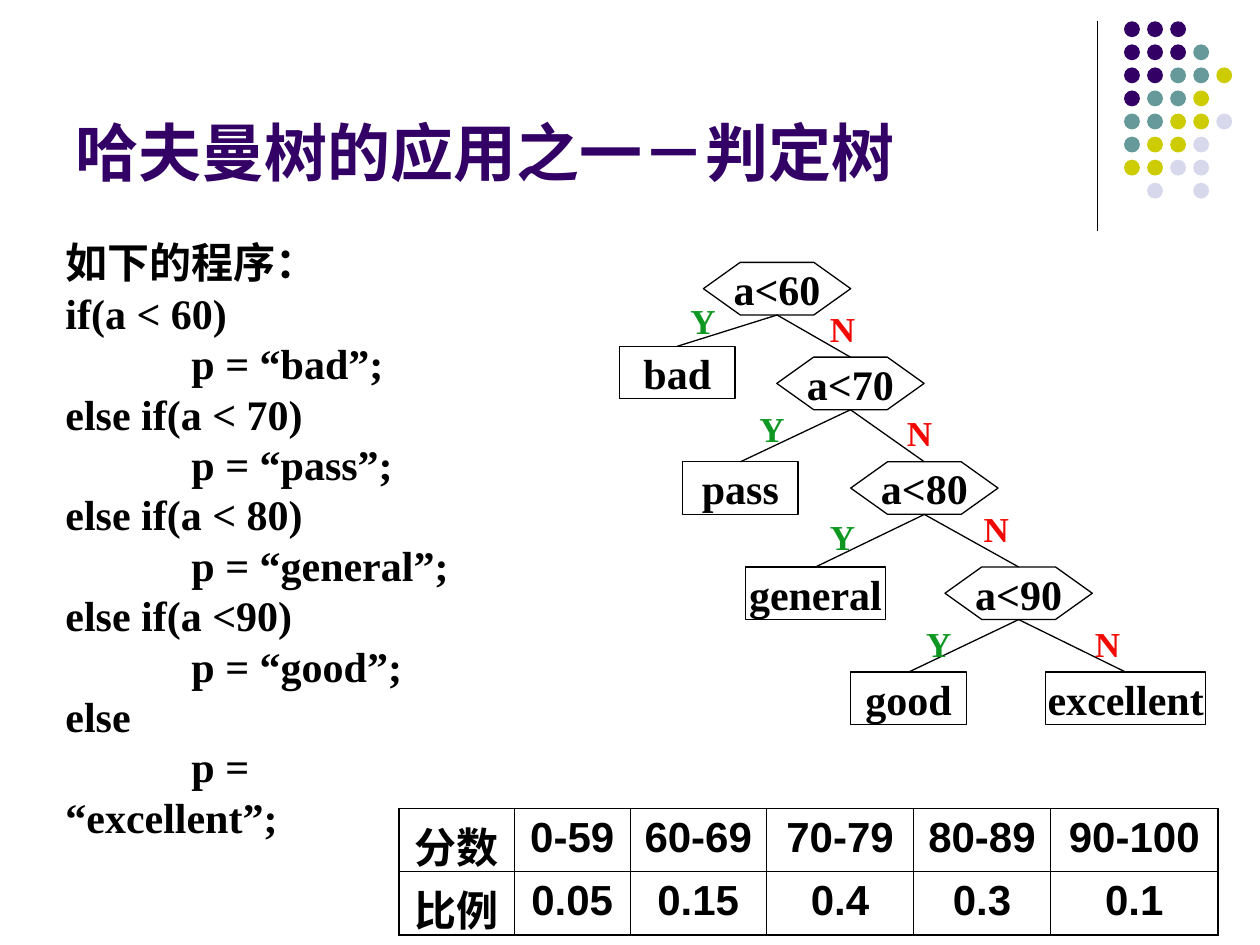
from dataclasses import dataclass

from lxml.etree import SubElement
from pptx import Presentation
from pptx.dml.color import RGBColor
from pptx.enum.shapes import MSO_CONNECTOR, MSO_SHAPE
from pptx.enum.text import MSO_ANCHOR as Anchor, MSO_AUTO_SIZE, PP_ALIGN as Align
from pptx.oxml import parse_xml
from pptx.oxml.ns import nsdecls, qn
from pptx.util import Cm, Pt

BLACK = RGBColor(0x00, 0x00, 0x00)
PURPLE = RGBColor(0x33, 0x00, 0x66)
TEAL = RGBColor(0x66, 0x99, 0x99)
OLIVE = RGBColor(0xCC, 0xCC, 0x00)
LILAC = RGBColor(0xD8, 0xD8, 0xEC)
GREEN = RGBColor(0x0E, 0x98, 0x22)
RED = RGBColor(0xF2, 0x08, 0x02)
SERIF, SANS, CHINESE = "Times New Roman", "Arial", "Noto Sans CJK SC"
NODE_HEIGHT = 1.06
TEST_WIDTH = 2.97


@dataclass
class Leaf:
    text: str
    left: float
    top: float
    width: float = 2.33


@dataclass
class Test:
    text: str
    left: float
    top: float
    leaf: Leaf
    yes_at: tuple[float, float]
    no_at: tuple[float, float]

    @property
    def middle(self) -> float:
        return self.left + TEST_WIDTH / 2


TESTS = [
    Test("a<60", 14.18, 5.29, Leaf("bad", 12.49, 6.98), (13.67, 5.92), (16.48, 6.07)),
    Test("a<70", 15.66, 7.2, Leaf("pass", 13.76, 9.31), (15.06, 8.1), (18.03, 8.18)),
    Test("a<80", 17.15, 9.31, Leaf("general", 15.03, 11.43, 2.82), (16.48, 10.26), (19.58, 10.11)),
    Test("a<90", 19.05, 11.43, Leaf("good", 17.15, 13.55), (18.42, 12.42), (21.82, 12.42)),
]
LAST_LEAF = Leaf("excellent", 21.08, 13.55, 3.23)

CODE = [
    "如下的程序：",
    "if(a < 60)", "\tp = “bad”;",
    "else if(a < 70)", "\tp = “pass”;",
    "else if(a < 80)", "\tp = “general”;",
    "else if(a <90)", "\tp = “good”;",
    "else", "\tp = “excellent”;",
]

SCORES = [
    ["分数", "0-59", "60-69", "70-79", "80-89", "90-100"],
    ["比例", "0.05", "0.15", "0.4", "0.3", "0.1"],
]
SCORE_WIDTHS = [2.33, 2.33, 2.75, 2.97, 2.75, 3.39]

DOT_COLORS = {"P": PURPLE, "T": TEAL, "O": OLIVE, "L": LILAC}
DOT_ROWS = ["PPP", "PPPT", "PPTTO", "PTTO", "TTOOL", "TOOL", "OOLL", " L L"]


def style(paragraph, size: int, font: str, color: RGBColor = BLACK, align=Align.LEFT) -> None:
    paragraph.alignment = align
    face = paragraph.font
    face.size, face.bold, face.name = Pt(size), True, font
    face.color.rgb = color
    east_asian = SubElement(face._element, qn("a:ea"))
    east_asian.set("typeface", CHINESE)


def draw_line(slide, start: tuple[float, float], end: tuple[float, float], leaf=None) -> None:
    line = slide.shapes.add_connector(
        MSO_CONNECTOR.STRAIGHT, *(Cm(v) for v in start + end))
    line.line.color.rgb = BLACK
    line.line.width = Pt(0.75)
    SubElement(line._element.spPr, qn("a:effectLst"))
    if leaf is not None:
        line.end_connect(leaf, 0)


def draw_node(slide, kind, text: str, left: float, top: float, width: float):
    node = slide.shapes.add_shape(kind, Cm(left), Cm(top), Cm(width), Cm(NODE_HEIGHT))
    node.shadow.inherit = False
    node.fill.background()
    node.line.color.rgb = BLACK
    node.line.width = Pt(0.75)
    frame = node.text_frame
    frame.word_wrap = False
    frame.vertical_anchor = Anchor.MIDDLE
    frame.text = text
    style(frame.paragraphs[0], 24, SERIF, align=Align.CENTER)
    return node


def draw_leaf(slide, leaf: Leaf):
    return draw_node(slide, MSO_SHAPE.RECTANGLE, leaf.text, leaf.left, leaf.top, leaf.width)


def draw_answer(slide, text: str, at: tuple[float, float], width: float, color: RGBColor) -> None:
    answer = slide.shapes.add_textbox(Cm(at[0]), Cm(at[1]), Cm(width), Cm(1.12))
    answer.text_frame.word_wrap = True
    answer.text_frame.text = text
    style(answer.text_frame.paragraphs[0], 20, SERIF, color)


def draw_dots(slide) -> None:
    pitch = 1.86 / 4
    for row, letters in enumerate(DOT_ROWS):
        for column, letter in enumerate(letters):
            if letter == " ":
                continue
            dot = slide.shapes.add_shape(
                MSO_SHAPE.OVAL, Cm(22.66 + column * pitch), Cm(0.43 + row * pitch),
                Cm(0.32), Cm(0.32))
            dot.shadow.inherit = False
            dot.fill.solid()
            dot.fill.fore_color.rgb = DOT_COLORS[letter]
            dot.line.fill.background()


def draw_code(slide) -> None:
    code = slide.shapes.add_textbox(Cm(1.07), Cm(4.65), Cm(8.69), Cm(11.43)).text_frame
    code.word_wrap = False
    for number, text in enumerate(CODE):
        line = code.add_paragraph() if number else code.paragraphs[0]
        line.text = text
        tabs = SubElement(line._p.get_or_add_pPr(), qn("a:tabLst"))
        SubElement(tabs, qn("a:tab"), pos=str(Cm(2.54)), algn="l")
        style(line, 24, SERIF)


def set_borders(cell, outer_sides: dict[str, bool]) -> None:
    properties = cell._tc.get_or_add_tcPr()
    for place, (side, outer) in enumerate(outer_sides.items()):
        width = Pt(1.08 if outer else 0.45)
        properties.insert(place, parse_xml(
            f'<a:ln{side} {nsdecls("a")} w="{width}"><a:solidFill>'
            f'<a:srgbClr val="{BLACK}"/></a:solidFill></a:ln{side}>'))


def draw_scores(slide) -> None:
    rows, columns = len(SCORES), len(SCORE_WIDTHS)
    scores = slide.shapes.add_table(
        rows, columns, Cm(8.04), Cm(16.3), Cm(sum(SCORE_WIDTHS)), Cm(2.54)).table
    scores.first_row = scores.horz_banding = False
    for column, width in zip(scores.columns, SCORE_WIDTHS):
        column.width = Cm(width)
    for r, values in enumerate(SCORES):
        for c, value in enumerate(values):
            cell = scores.cell(r, c)
            cell.text = value
            cell.fill.background()
            style(cell.text_frame.paragraphs[0], 24, SANS, align=Align.CENTER)
            set_borders(cell, {"L": c == 0, "R": c == columns - 1,
                               "T": r == 0, "B": r == rows - 1})


def draw_tree(slide) -> None:
    for test, following in zip(TESTS, TESTS[1:] + [None]):
        hexagon = draw_node(slide, MSO_SHAPE.HEXAGON, test.text, test.left, test.top, TEST_WIDTH)
        hexagon.adjustments[0] = 0.7
        foot = (test.middle, test.top + NODE_HEIGHT)
        draw_line(slide, foot, (test.leaf.left, test.leaf.top), draw_leaf(slide, test.leaf))
        if following:
            draw_line(slide, foot, (following.middle, following.top))
        else:
            draw_line(slide, foot, (LAST_LEAF.left, LAST_LEAF.top), draw_leaf(slide, LAST_LEAF))
        draw_answer(slide, "Y", test.yes_at, 0.84, GREEN)
        draw_answer(slide, "N", test.no_at, 1.02, RED)


def main() -> None:
    deck = Presentation()
    deck.slide_width, deck.slide_height = Cm(25.4), Cm(19.05)
    slide = deck.slides.add_slide(deck.slide_layouts[5])

    # Corner decoration
    draw_line(slide, (22.12, 0.43), (22.12, 4.65))
    draw_dots(slide)

    # Title
    title = slide.shapes.title
    title.left, title.top, title.width, title.height = Cm(1.27), Cm(0.33), Cm(20.96), Cm(3.61)
    title.text_frame.text = "哈夫曼树的应用之一－判定树"
    title.text_frame.auto_size = MSO_AUTO_SIZE.NONE
    title.text_frame.vertical_anchor = Anchor.BOTTOM
    style(title.text_frame.paragraphs[0], 36, CHINESE, PURPLE)

    # Program, decision tree and score table
    draw_code(slide)
    draw_tree(slide)
    draw_scores(slide)
    deck.save("out.pptx")


if __name__ == "__main__":
    main()
